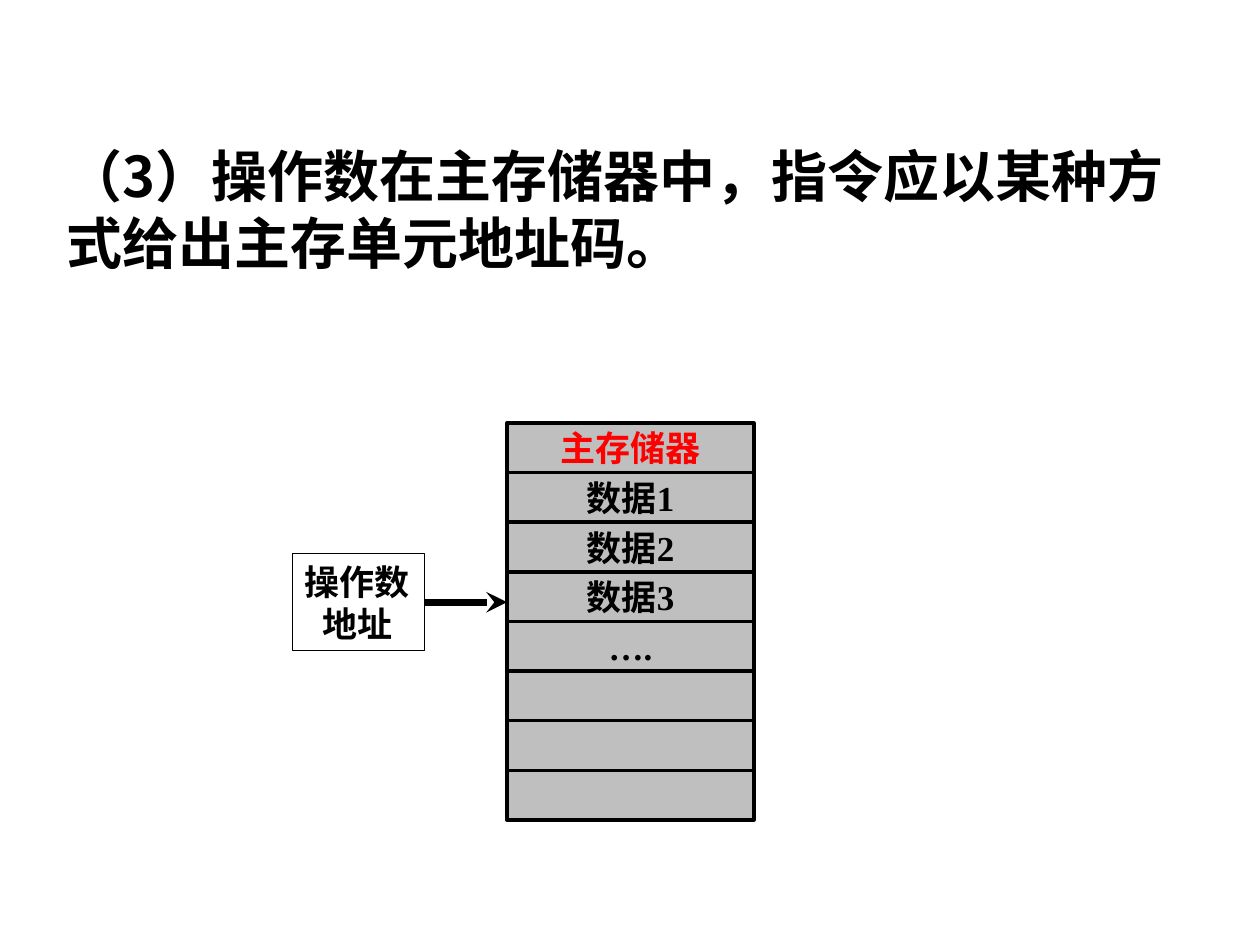
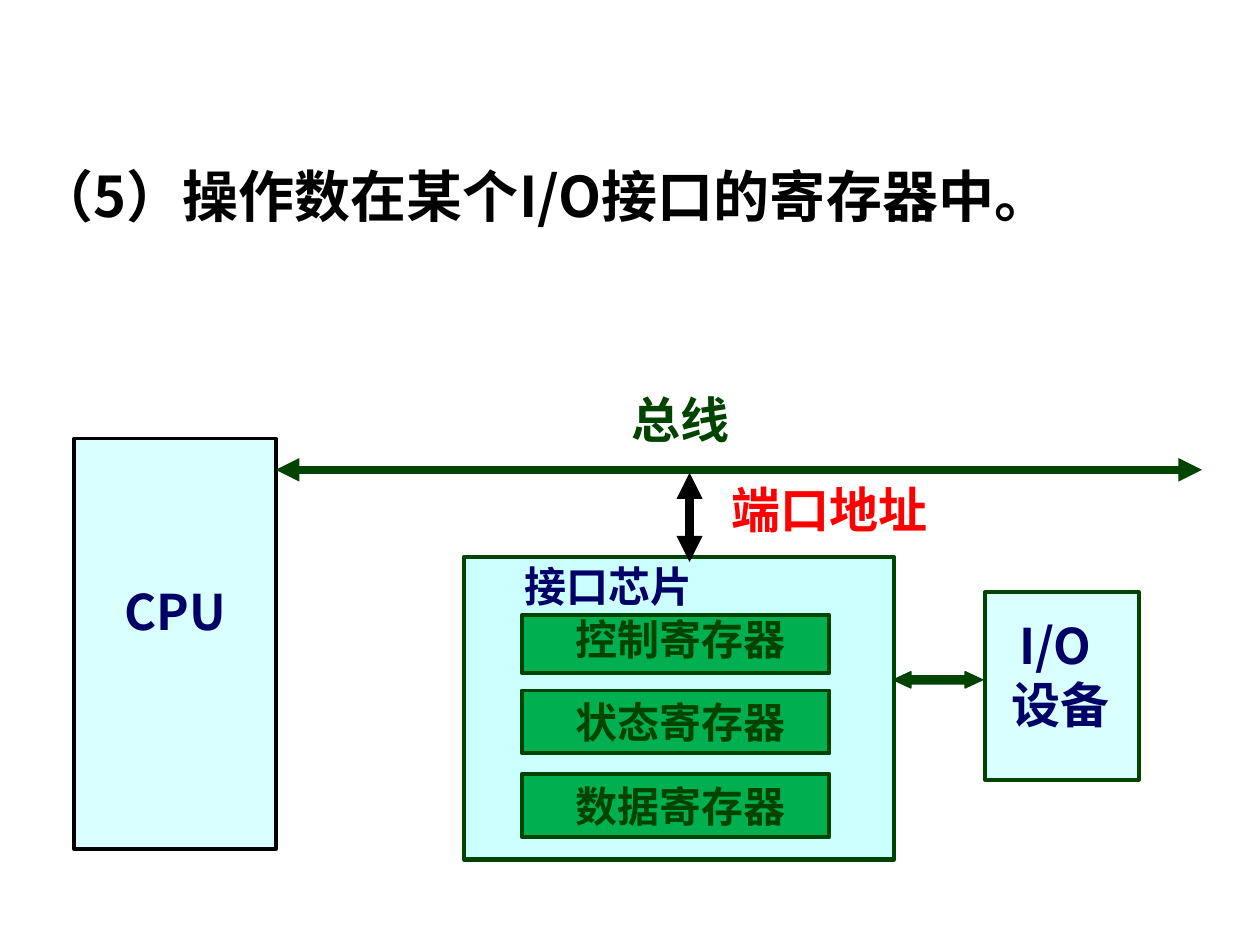
from pptx import Presentation
from pptx.dml.color import RGBColor
from pptx.enum.shapes import MSO_CONNECTOR, MSO_SHAPE
from pptx.enum.text import MSO_ANCHOR, PP_ALIGN
from pptx.oxml.ns import qn
from pptx.util import Cm, Pt
from lxml.etree import SubElement

BLACK = RGBColor(0, 0, 0)
RED = RGBColor(255, 0, 0)
GRAY = RGBColor(0xBF, 0xBF, 0xBF)
NAVY = RGBColor(0, 0, 0x66)
PINE = RGBColor(0, 0x44, 0)
GREEN = RGBColor(0, 0xB0, 0x50)
PALE = RGBColor(0xD9, 0xFF, 0xFF)
CYAN = RGBColor(0xCC, 0xFF, 0xFF)
SANS = "Noto Sans CJK SC"
SERIF = "Times New Roman"


def put(slide, area, text="", size=28, ink=BLACK, face=SANS, fill=None,
        edge=None, width=2.25, mid=False, left=0.25, top=0.13, low=0,
        kind=MSO_SHAPE.RECTANGLE):
    place = [Cm(n) for n in area]
    if edge is None:
        shape = slide.shapes.add_textbox(*place)
    else:
        shape = slide.shapes.add_shape(kind, *place)
        shape.shadow.inherit = False
        shape.line.color.rgb = edge
        shape.line.width = Pt(width)
        if fill is None:
            shape.fill.background()
        else:
            shape.fill.solid()
            shape.fill.fore_color.rgb = fill
    if not text:
        return shape
    frame = shape.text_frame
    frame.text = text
    frame.word_wrap = True
    frame.vertical_anchor = MSO_ANCHOR.MIDDLE if mid else MSO_ANCHOR.TOP
    frame.margin_left = Cm(left)
    frame.margin_right = Cm(0.1 if mid else 0.25)
    frame.margin_top = Cm(0 if mid else top)
    frame.margin_bottom = Cm(low)
    for para in frame.paragraphs:
        para.alignment = PP_ALIGN.CENTER if mid else PP_ALIGN.LEFT
        para.line_spacing = Pt(1.2 * size)
        for run in para.runs:
            run.font.name = face
            run.font.size = Pt(size)
            run.font.bold = True
            run.font.color.rgb = ink
            SubElement(run.font._element, qn("a:ea")).set("typeface", SANS)
    return shape


def link(slide, ends, ink, width, **tips):
    wire = slide.shapes.add_connector(
        MSO_CONNECTOR.STRAIGHT, *[Cm(n) for n in ends])
    wire.line.color.rgb = ink
    wire.line.width = Pt(width)
    line = wire.line._get_or_add_ln()
    for tip, style in tips.items():
        SubElement(line, qn("a:" + tip)).set("type", style)
    SubElement(wire._element.spPr, qn("a:effectLst"))
    return wire


deck = Presentation()
deck.slide_width = Cm(25.4)
deck.slide_height = Cm(19.05)
blank = deck.slide_layouts[6]

slide = deck.slides.add_slide(blank)
put(slide, (1.09, 2.72, 23.19, 3),
    "（3）操作数在主存储器中，指令应以某种方式给出主存单元地址码。", 32)
cells = ["主存储器", "数据1", "数据2", "数据3", "….", "", "", ""]
for row, text in enumerate(cells):
    put(slide, (10.22, 8.53 + row, 4.98, 1), text, 20,
        BLACK if row else RED, SERIF, GRAY, BLACK, 2, True, 0.1)
tag = put(slide, (5.9, 11.16, 2.66, 1.96), "操作数\n地址", 20, BLACK, SERIF,
          None, BLACK, 0.75, True, 0.05)
wire = link(slide, (8.56, 12.14, 10.22, 12.14), BLACK, 4, tailEnd="stealth")
wire.begin_connect(tag, 3)

slide = deck.slides.add_slide(blank)
put(slide, (0.51, 3.12, 23, 1.63), "（5）操作数在某个I/O接口的寄存器中。", 32)
put(slide, (1.5, 8.84, 4.06, 8.28), "CPU", 28, NAVY, SANS, PALE, BLACK,
    mid=True, left=0.1, low=1.33)
put(slide, (19.86, 11.94, 3.1, 3.78), "I/O \n设备", 28, NAVY, SANS, PALE,
    PINE, mid=True, left=0.05, low=0.46)
put(slide, (12.49, 7.72, 4.55, 1.45), "总线", 28, PINE)
put(slide, (9.36, 11.23, 8.66, 6.1), "接口芯片", 24, NAVY, SANS, CYAN, PINE,
    2.5, left=1.21, top=0.06)
units = [("控制", 12.4, 1.17, 0.2), ("状态", 13.92, 1.27, 0),
         ("数据", 15.6, 1.27, 0)]
for name, top, tall, low in units:
    put(slide, (10.52, top, 6.2, tall), name + "寄存器", 24, PINE, SERIF,
        GREEN, PINE, mid=True, left=0.3, low=low)
both = {"headEnd": "triangle", "tailEnd": "triangle"}
link(slide, (5.56, 9.47, 24.23, 9.47), PINE, 4.5, **both)
link(slide, (13.9, 9.53, 13.9, 11.33), BLACK, 5, **both)
arrow = put(slide, (18.01, 13.54, 1.8, 0.33), fill=PINE, edge=PINE, width=0.75,
            kind=MSO_SHAPE.LEFT_RIGHT_ARROW)
arrow.adjustments[0] = 0.5
arrow.adjustments[1] = 1.07
put(slide, (14.5, 9.53, 5, 1.45), "端口地址", 28, RED)

deck.save("out.pptx")
